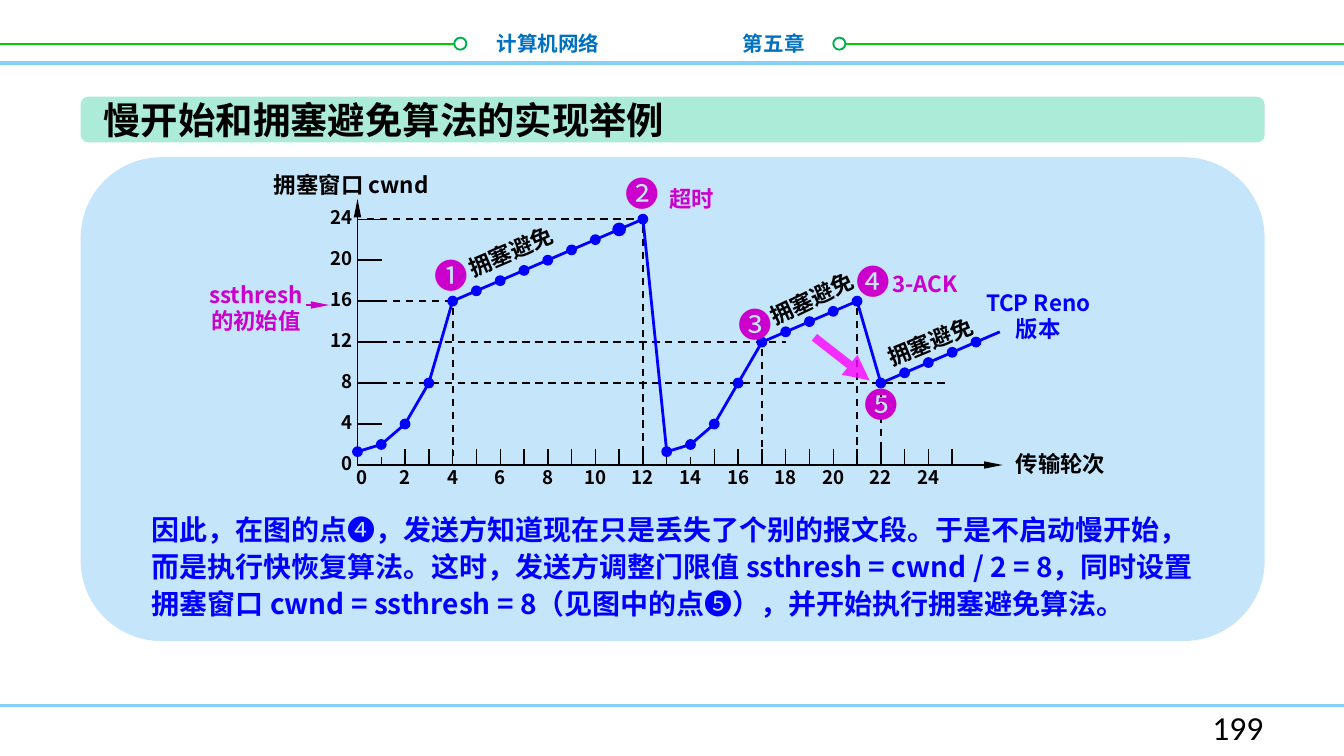
from lxml import etree
from pptx import Presentation
from pptx.dml.color import RGBColor
from pptx.enum.dml import MSO_LINE
from pptx.enum.shapes import MSO_CONNECTOR, MSO_SHAPE
from pptx.enum.text import MSO_ANCHOR, PP_ALIGN
from pptx.oxml.ns import qn
from pptx.util import Inches, Pt

CJK = "Noto Sans CJK SC"
BLACK, BLUE, MAGENTA = "000000", "0000FF", "CC00CC"
SKY, GREEN, RING = "85D1F7", "00CC00", "00B050"
LEFT, CENTER, RIGHT = PP_ALIGN.LEFT, PP_ALIGN.CENTER, PP_ALIGN.RIGHT
SLIM, BROAD = ("sm", "lg"), ("med", "med")  # arrowhead width and length

# Congestion window by transmission round, one list per phase
FIRST_RISE = [(0, 1.3), (1, 2), (2, 4), (3, 8)] + [(n, n + 12) for n in range(4, 13)]
SECOND_RISE = [(13, 1.3), (14, 2), (15, 4), (16, 8)] + [(n, n - 5) for n in range(17, 22)]
RECOVERY = [(n, n - 14) for n in range(22, 27)]


def color(value):
    return RGBColor.from_string(value)


def set_font(paragraph, size, ink, bold=True, face=CJK):
    font = paragraph.font
    font.size, font.name, font.bold = Pt(size), face, bold
    font.color.rgb = color(ink)
    defaults = paragraph._p.pPr.find(qn("a:defRPr"))
    etree.SubElement(defaults, qn("a:ea")).set("typeface", face)


def prepare_frame(frame, anchor=MSO_ANCHOR.MIDDLE, inset=0):
    frame.word_wrap = True
    frame.vertical_anchor = anchor
    frame.margin_top = frame.margin_bottom = Inches(inset)


def add_text(slide, left, top, width, height, lines, size, ink,
             align=LEFT, bold=True, face=CJK, pitch=None):
    box = slide.shapes.add_textbox(Inches(left), Inches(top), Inches(width), Inches(height))
    frame = box.text_frame
    prepare_frame(frame)
    frame.text = lines
    for paragraph in frame.paragraphs:
        paragraph.alignment = align
        if pitch:
            paragraph.line_spacing = Pt(pitch)
        set_font(paragraph, size, ink, bold, face)
    return box


def add_centered(slide, x, y, words, size, ink, bold=True, width=0.94, height=0.32):
    return add_text(slide, x - width / 2, y - height / 2, width, height,
                    words, size, ink, CENTER, bold)


def add_line(slide, x1, y1, x2, y2, ink=BLACK, weight=0.75, dashed=False, arrow=None, alpha=None):
    line = slide.shapes.add_connector(
        MSO_CONNECTOR.STRAIGHT, Inches(x1), Inches(y1), Inches(x2), Inches(y2))
    line.line.color.rgb = color(ink)
    line.line.width = Pt(weight)
    if dashed:
        line.line.dash_style = MSO_LINE.DASH
    properties = line.element.spPr
    outline = properties.find(qn("a:ln"))
    if arrow:
        head = etree.SubElement(outline, qn("a:tailEnd"))
        for key, value in zip(("type", "w", "len"), ("triangle", *arrow)):
            head.set(key, value)
    if alpha:
        tint = outline.find(".//" + qn("a:srgbClr"))
        etree.SubElement(tint, qn("a:alpha")).set("val", str(alpha * 1000))
    etree.SubElement(properties, qn("a:effectLst"))


def add_filled(slide, kind, left, top, width, height, fill, ink=None, weight=0.75):
    shape = slide.shapes.add_shape(kind, Inches(left), Inches(top), Inches(width), Inches(height))
    shape.shadow.inherit = False
    shape.fill.solid()
    shape.fill.fore_color.rgb = color(fill)
    if ink:
        shape.line.color.rgb = color(ink)
        shape.line.width = Pt(weight)
    else:
        shape.line.fill.background()


    return shape


def add_curve(slide, points):
    corners = [(Inches(x), Inches(y)) for x, y in points]
    builder = slide.shapes.build_freeform(*corners[0])
    builder.add_line_segments(corners[1:], close=False)
    curve = builder.convert_to_shape()
    curve.shadow.inherit = False
    curve.fill.background()
    curve.line.color.rgb = color(BLUE)
    curve.line.width = Pt(1.5)


def draw_header(slide, left, top, width):
    add_line(slide, left, top + 0.47, left + width, top + 0.47, SKY, 2)
    middle = top + 0.33
    for start, end, ring in ((0, 3.4, 3.38), (6.2, width, 6.2)):
        add_line(slide, left + start, middle, left + end, middle, GREEN, 1)
        add_filled(slide, MSO_SHAPE.OVAL, left + ring, middle - 0.05, 0.09, 0.09, "FFFFFF", RING, 1)
    add_text(slide, left + 3.36, top + 0.18, 1.2, 0.29, "计算机网络", 11, "0070C0", RIGHT)
    add_text(slide, left + 5.43, top + 0.18, 1.16, 0.29, "第五章", 11, "0070C0")


def draw_title(slide, left, top, width, height):
    banner = add_filled(slide, MSO_SHAPE.ROUNDED_RECTANGLE, left, top, width, height, "ABEBD7")
    title = slide.shapes.title
    title.left, title.top = Inches(left + 0.07), Inches(top - 0.05)
    title.width, title.height = Inches(4.41), Inches(height + 0.1)
    prepare_frame(title.text_frame)
    title.text_frame.text = "慢开始和拥塞避免算法的实现举例"
    heading = title.text_frame.paragraphs[0]
    heading.alignment = LEFT
    set_font(heading, 20, BLACK)
    banner.element.addnext(title.element)  # keep the title in front of its banner


def draw_plot(slide, left, top):
    origin_x, origin_y = left + 1.22, top + 2.24

    def place(turn, cwnd):
        return origin_x + turn * 0.177, origin_y - cwnd * 0.0762

    # Axes, ticks and numbers
    add_line(slide, origin_x, origin_y, origin_x + 4.8, origin_y, weight=1, arrow=SLIM)
    add_line(slide, origin_x, origin_y, origin_x, origin_y - 1.98, weight=1, arrow=SLIM)
    for turn in range(1, 26):
        x = place(turn, 0)[0]
        add_line(slide, x, origin_y - (0.06 if turn in (1, 14) else 0.12), x, origin_y)
    for turn in range(0, 25, 2):
        x = place(turn, 0)[0] + (0 if turn else 0.03)
        add_centered(slide, x, origin_y + 0.09, str(turn), 10, BLACK, width=0.37, height=0.27)
    for cwnd in range(0, 25, 4):
        y = place(0, cwnd)[1]
        if cwnd:
            add_line(slide, origin_x, y, origin_x + 0.18, y)
        add_text(slide, origin_x - 0.31, y - 0.15, 0.37, 0.27, str(cwnd), 10, BLACK, RIGHT)
    add_text(slide, left + 0.5, top - 0.01, 1.53, 0.32, "拥塞窗口 cwnd", 12, BLACK)
    add_text(slide, left + 6.02, top + 2.07, 0.94, 0.32, "传输轮次", 12, BLACK)

    # Dashed guides
    for cwnd, last_turn in ((24, 12), (16, 4), (12, 18), (8, 24.7)):
        x, y = place(last_turn, cwnd)
        add_line(slide, origin_x + 0.07, y, x, y, weight=1, dashed=True)
    for turn, cwnd in ((4, 16), (12, 24), (17, 12), (21, 16), (22, 8)):
        x, y = place(turn, cwnd)
        add_line(slide, x, y + 0.05, x, origin_y - 0.07, weight=1, dashed=True)

    # Window curve and its points
    for rise in (FIRST_RISE, SECOND_RISE):
        add_curve(slide, [place(*point) for point in rise])
    for start, end in ((FIRST_RISE[-1], SECOND_RISE[0]),
                       (SECOND_RISE[-1], RECOVERY[0]),
                       (RECOVERY[0], (27, 13))):
        add_line(slide, *place(*start), *place(*end), BLUE, 1.5)
    for turn, cwnd in FIRST_RISE + SECOND_RISE + RECOVERY:
        x, y = place(turn, cwnd)
        add_filled(slide, MSO_SHAPE.OVAL, x - 0.035, y - 0.035, 0.07, 0.07,
                   BLUE, BLUE, 2.25 if turn == 11 else 0.75)

    # Phase names along the slopes
    for x, y, angle in ((2.36, 0.65, -23.2), (4.6, 1, -25.5), (5.48, 1.32, -22.6)):
        phase = add_centered(slide, left + x, top + y, "拥塞避免", 12, BLACK)
        phase.rotation = angle

    # Numbered events and remarks
    for number, x, y in (("❶", 1.91, 0.83), ("❷", 3.33, 0.22), ("❸", 4.17, 1.19),
                         ("❹", 5.05, 0.87), ("❺", 5.11, 1.79)):
        add_centered(slide, left + x, top + y, number, 18, MAGENTA, False, 0.43, 0.4)
    add_text(slide, left + 3.44, top + 0.11, 0.87, 0.3, "超时", 12, MAGENTA)
    add_text(slide, left + 5.1, top + 0.74, 0.89, 0.3, "3-ACK", 12, MAGENTA)
    add_text(slide, left, top + 0.82, 0.93, 0.5, "ssthresh\n的初始值", 12, MAGENTA, CENTER, pitch=14)
    add_text(slide, left + 5.71, top + 0.86, 1.15, 0.54, "TCP Reno\n版本", 12, BLUE, CENTER, pitch=14)
    add_line(slide, left + 0.84, top + 1.05, left + 1.01, top + 1.05, MAGENTA, 1.5, arrow=SLIM)
    add_line(slide, left + 4.62, top + 1.29, left + 5.03, top + 1.61, "FF00FF", 4.5, arrow=BROAD, alpha=80)


def draw_conclusion(slide, left, top, width, height):
    box = slide.shapes.add_textbox(Inches(left), Inches(top), Inches(width), Inches(height))
    prepare_frame(box.text_frame, MSO_ANCHOR.TOP, 0.05)
    conclusion = box.text_frame.paragraphs[0]
    conclusion.line_spacing = Pt(19.8)
    set_font(conclusion, 15, BLUE)
    for words in ("因此，在图的点", "❹",
                  "，发送方知道现在只是丢失了个别的报文段。于是不启动慢开始，而是执行快恢复算法。"
                  "这时，发送方调整门限值 ssthresh = cwnd / 2 = 8，同时设置拥塞窗口 "
                  "cwnd = ssthresh = 8（见图中的点", "❺", "），并开始执行拥塞避免算法。"):
        run = conclusion.add_run()
        run.text = words
        run.font.bold = words not in "❹❺"


def draw_footer(slide, left, top, width):
    add_line(slide, left, top, left + width, top, SKY, 1.5)
    add_text(slide, left + 7.17, top, 2.33, 0.32, "199", 18, BLACK, RIGHT, False, "Calibri")


def main():
    deck = Presentation()
    deck.slide_width = Inches(10)
    deck.slide_height = deck.slide_width * 9 // 16
    slide = deck.slides.add_slide(deck.slide_layouts[5])
    draw_header(slide, 0, 0, 10)
    draw_title(slide, 0.6, 0.72, 8.81, 0.34)
    add_filled(slide, MSO_SHAPE.ROUNDED_RECTANGLE, 0.6, 1.17, 8.81, 3.6, "C5E5FB")
    draw_plot(slide, 1.44, 1.22)
    draw_conclusion(slide, 1.03, 3.74, 8.01, 0.93)
    draw_footer(slide, 0, 5.25, 10)
    deck.save("out.pptx")


if __name__ == "__main__":
    main()
